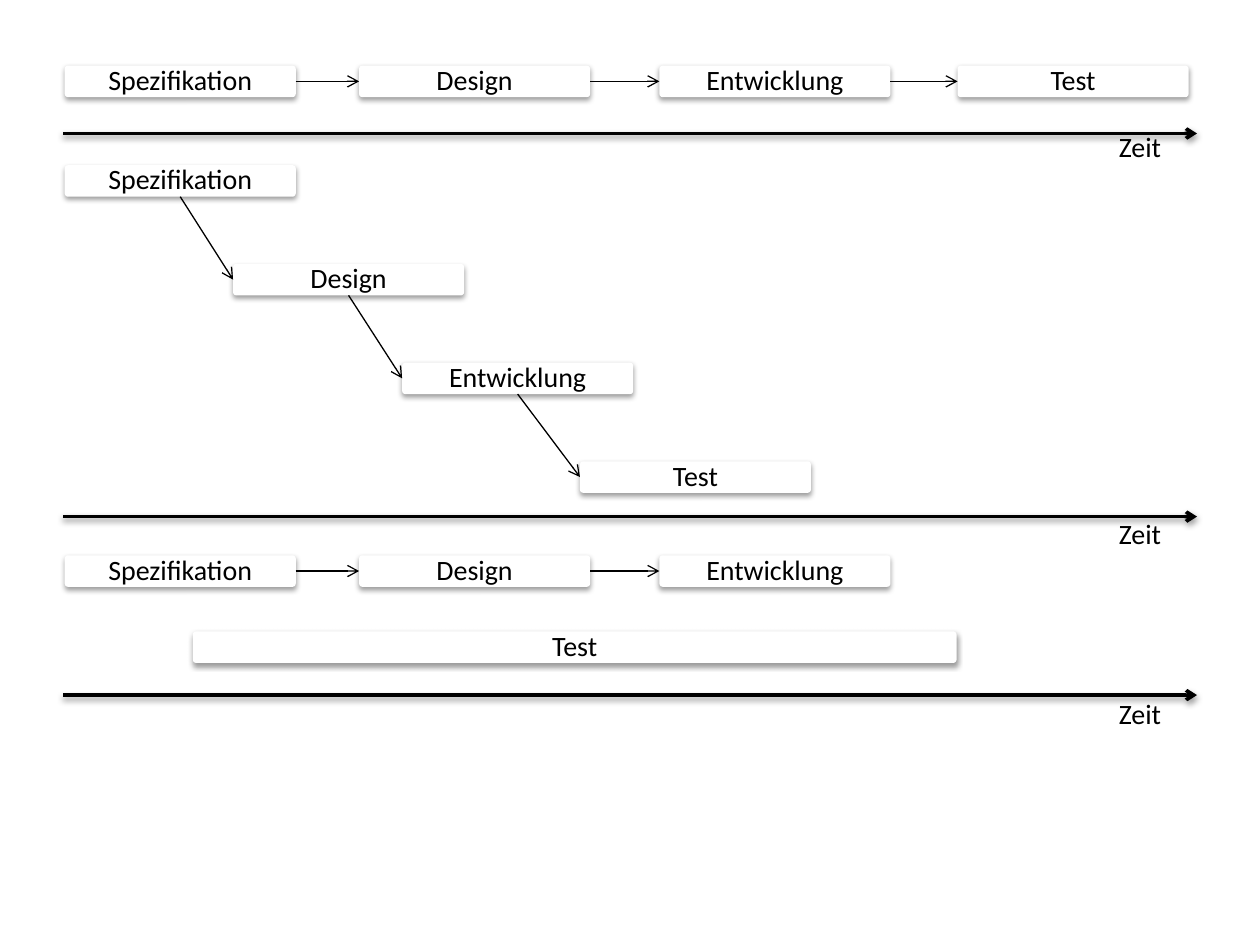
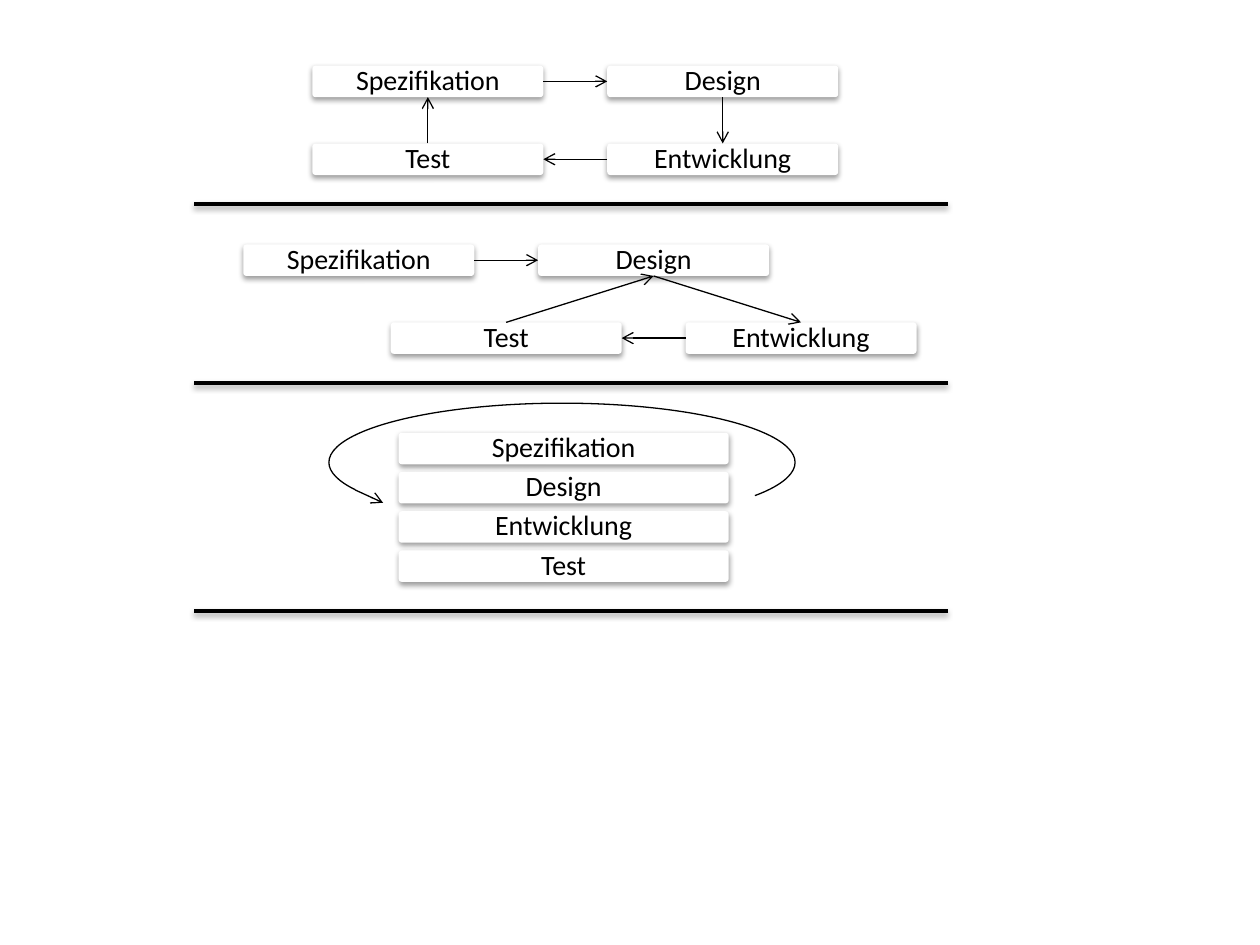
from dataclasses import dataclass

from lxml.etree import SubElement
from pptx import Presentation
from pptx.dml.color import RGBColor
from pptx.enum.shapes import MSO_CONNECTOR as Connector, MSO_SHAPE as Shape
from pptx.enum.text import MSO_ANCHOR as Anchor, PP_ALIGN as Align
from pptx.oxml import parse_xml
from pptx.oxml.ns import qn
from pptx.util import Pt


@dataclass(frozen=True)
class Theme:
    """Colours, type and line weights shared by both slides."""
    ink: RGBColor = RGBColor(0, 0, 0)
    paper: RGBColor = RGBColor(255, 255, 255)
    font: str = "Calibri"
    size: float = 16
    thin: float = 0.75
    thick: float = 2


theme = Theme()
SHADOW = (
    '<a:effectLst xmlns:a="http://schemas.openxmlformats.org/drawingml/2006/main">'
    '<a:outerShdw blurRad="40000" dist="20000" dir="5400000" rotWithShape="0">'
    '<a:srgbClr val="000000"><a:alpha val="38000"/></a:srgbClr>'
    '</a:outerShdw></a:effectLst>'
)
TOP, LEFT, BOTTOM, RIGHT = range(4)  # connection sites of a rounded box
PHASES = ["Spezifikation", "Design", "Entwicklung", "Test"]
BOX_WIDTH, BOX_HEIGHT = 132, 18


def add_text(page, text, left, top, width=BOX_WIDTH, height=BOX_HEIGHT, boxed=True):
    """Add text, either centred in a shadowed rounded box or as a plain label."""
    place = Pt(left), Pt(top), Pt(width), Pt(height)
    if boxed:
        box = page.shapes.add_shape(Shape.ROUNDED_RECTANGLE, *place)
        box.adjustments[0] = 0.1
        box.fill.solid()
        box.fill.fore_color.rgb = theme.paper
        box.line.fill.background()
        box._element.spPr.append(parse_xml(SHADOW))
    else:
        box = page.shapes.add_textbox(*place)
    frame = box.text_frame
    frame.word_wrap = True
    para = frame.paragraphs[0]
    if boxed:
        frame.margin_top = frame.margin_bottom = 0
        frame.vertical_anchor = Anchor.MIDDLE
        para.alignment = Align.CENTER
        para.line_spacing = 0.9
    span = para.add_run()
    span.text = text
    span.font.name = theme.font
    span.font.size = Pt(theme.size)
    span.font.color.rgb = theme.ink
    return box


def add_line(page, start=(0, 0), end=(0, 0), weight=theme.thin, arrow=True, shadow=False):
    """Add a straight line, with an optional arrowhead at its end and a shadow."""
    line = page.shapes.add_connector(Connector.STRAIGHT, *map(Pt, start + end))
    line.line.color.rgb = theme.ink
    line.line.width = Pt(weight)
    if arrow:
        SubElement(line.line._get_or_add_ln(), qn("a:tailEnd"), type="arrow")
    properties = line._element.spPr
    if shadow:
        properties.append(parse_xml(SHADOW))
    else:
        SubElement(properties, qn("a:effectLst"))
    return line


deck = Presentation()
deck.slide_width, deck.slide_height = Pt(720), Pt(540)
blank = deck.slide_layouts[6]
links = []  # page, first box, its side, second box, its side

# Slide 1: sequence, staircase and continuous testing along time axes
page = deck.slides.add_slide(blank)
columns = [37, 205.2, 376.8, 547.2]
sequence = [add_text(page, phase, x, 37.5) for phase, x in zip(PHASES, columns)]
stairs = [
    add_text(page, phase, x, 94.4 + 56.4 * step)
    for step, (phase, x) in enumerate(zip(PHASES, [37, 133.2, 229.8, 331.4]))
]
parallel = [add_text(page, phase, x, 317.3) for phase, x in zip(PHASES[:3], columns)]
add_text(page, PHASES[3], 110.2, 360.8, width=436.4)

for chain, side in ((sequence, RIGHT), (stairs, BOTTOM), (parallel, RIGHT)):
    links += [(page, first, side, second, LEFT) for first, second in zip(chain, chain[1:])]

for axis, label in ((76.3, 70.6), (295.2, 291.6), (397.2, 394.6)):
    add_line(page, (36, axis), (684, axis), weight=theme.thick, shadow=True)
    add_text(page, "Zeit", 632.2, label, width=51, height=26.6, boxed=False)

# Slide 2: two cycles and a stack, divided by rules
page = deck.slides.add_slide(blank)
column_step, row_step = 168.5, 44.5
for left, top, indent, exit_side, entry_side in (
    (178.5, 37.5, 0, TOP, BOTTOM),
    (139, 139.7, column_step / 2, TOP, BOTTOM),
):
    specification = add_text(page, PHASES[0], left, top)
    design = add_text(page, PHASES[1], left + column_step, top)
    test = add_text(page, PHASES[3], left + indent, top + row_step)
    development = add_text(page, PHASES[2], left + indent + column_step, top + row_step)
    restart = design if indent else specification
    links += [
        (page, specification, RIGHT, design, LEFT),
        (page, design, entry_side, development, exit_side),
        (page, development, LEFT, test, RIGHT),
        (page, test, exit_side, restart, entry_side),
    ]

for row, phase in enumerate(PHASES):
    add_text(page, phase, 227.8, 247.3 + 22.4 * row, width=188.6)

for rule in (116.6, 218.9, 349.2):
    add_line(page, (111, rule), (541.5, rule), weight=theme.thick, arrow=False, shadow=True)

loop = page.shapes.add_shape(Shape.ARC, Pt(188), Pt(230.4), Pt(266.4), Pt(67.7))
loop.adjustments[0], loop.adjustments[1] = 103.46, 5.87
loop.fill.background()
loop.line.color.rgb = theme.ink
loop.line.width = Pt(theme.thin)
loop.shadow.inherit = False
add_line(page, (203, 280), (218.9, 287.3))

for page, first, first_side, second, second_side in links:
    link = add_line(page)
    link.begin_connect(first, first_side)
    link.end_connect(second, second_side)

deck.save("out.pptx")
